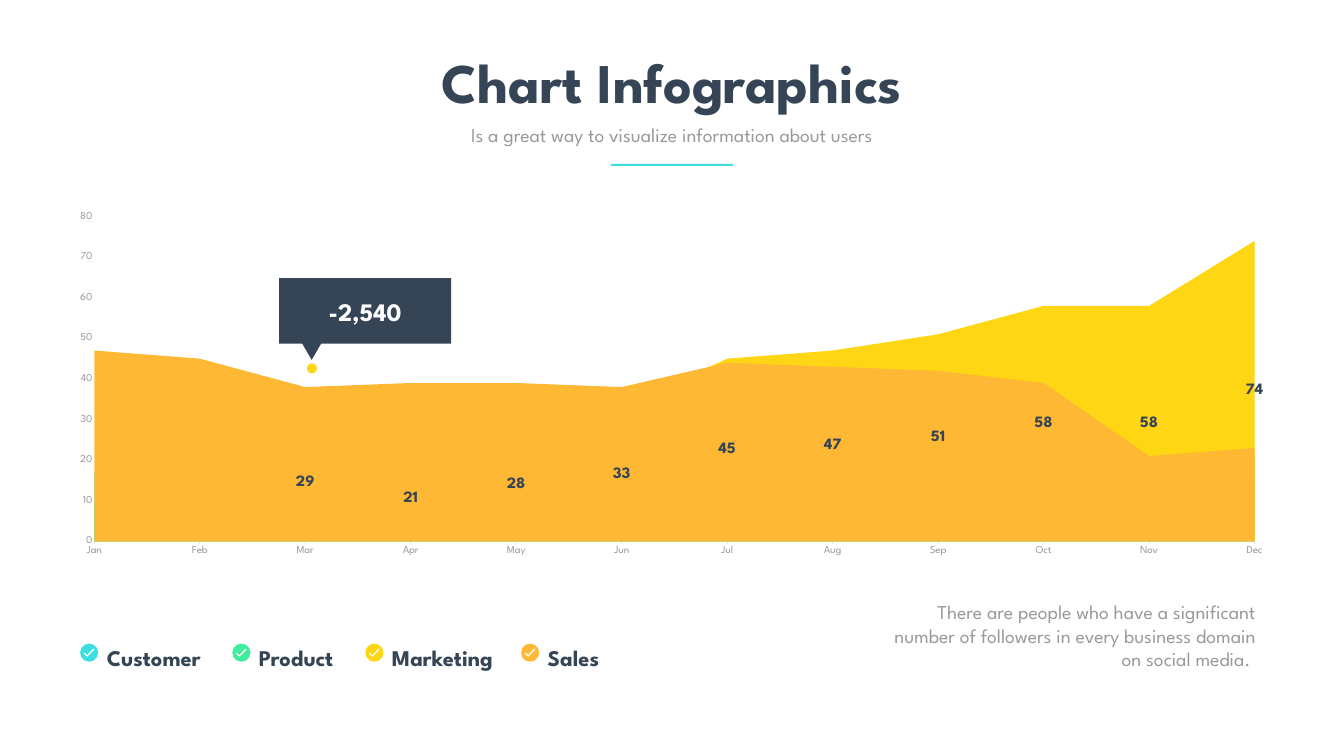
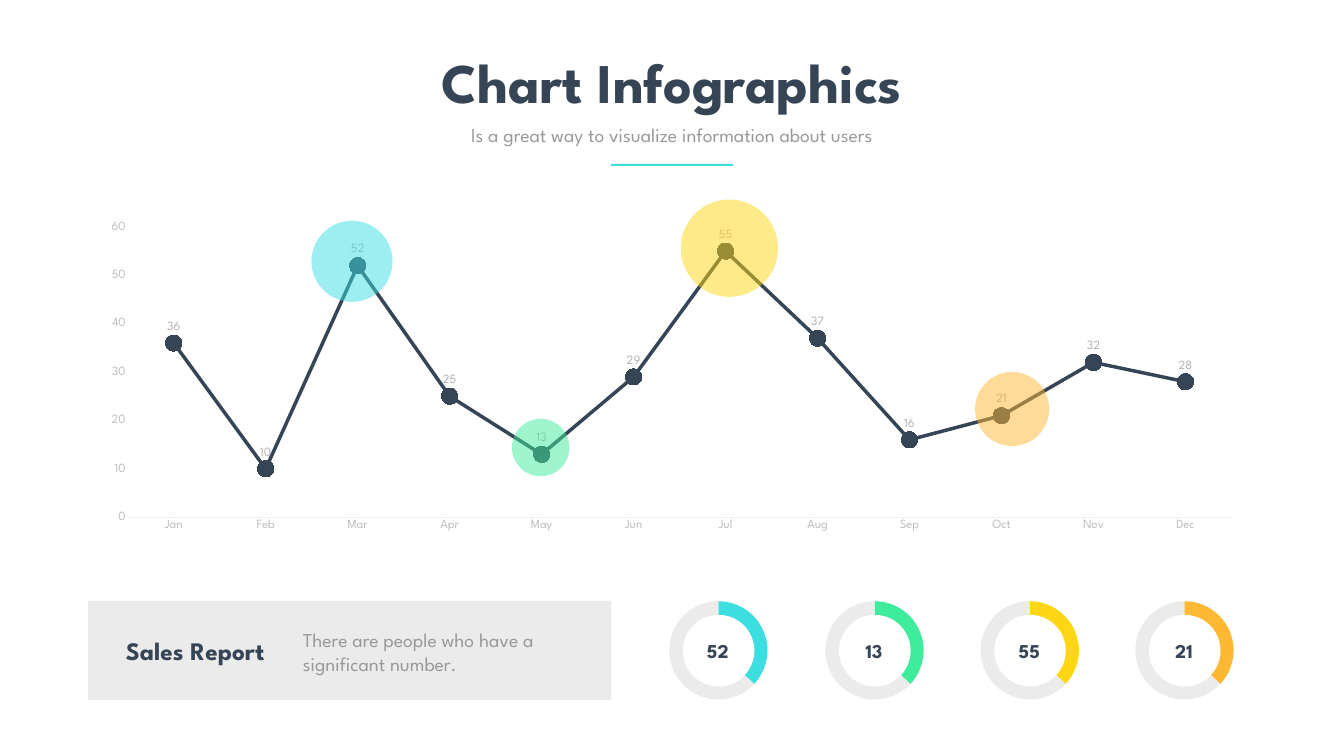
from lxml.etree import SubElement
from pptx import Presentation
from pptx.chart.data import CategoryChartData
from pptx.dml.color import RGBColor
from pptx.enum.chart import XL_CHART_TYPE, XL_LABEL_POSITION, XL_MARKER_STYLE, XL_TICK_MARK
from pptx.enum.shapes import MSO_SHAPE
from pptx.enum.text import MSO_ANCHOR, MSO_AUTO_SIZE, PP_ALIGN
from pptx.oxml import parse_xml
from pptx.oxml.ns import nsdecls, qn
from pptx.util import Pt

# Shared look: 100 px to the inch
EMU_PER_PX = 9144
SLIDE_SIZE = (2667, 1500)
FONT = "League Spartan"
NAVY, GREY, WHITE = "364556", "999999", "FFFFFF"
CYAN, GREEN, YELLOW, ORANGE = "3CDEE2", "3EEC9C", "FED613", "FEB833"
PANEL, AXIS_TEXT, LABEL_TEXT = "EBEBEB", "BDBDBD", "B2B2B2"
HEADING = {"name": FONT, "size": Pt(80), "bold": True, "colour": NAVY}
BODY = {"name": FONT, "size": Pt(28), "bold": False, "colour": GREY}
LEGEND_NAME = {**HEADING, "size": Pt(32)}
REPORT_NAME = {**HEADING, "size": Pt(36)}
CALLOUT_VALUE = {**REPORT_NAME, "colour": WHITE}
DONUT_VALUE = {**HEADING, "size": Pt(28)}
CHART_TEXT = {**BODY, "size": Pt(18)}
AREA_AXIS = {**BODY, "size": Pt(16)}
LINE_AXIS = {**CHART_TEXT, "colour": AXIS_TEXT}
AREA_LABEL = {**HEADING, "size": Pt(24)}
LINE_LABEL = {**CHART_TEXT, "colour": LABEL_TEXT}
PIE_TEXT = {**BODY, "name": "Calibri", "size": Pt(10)}

# Content
TITLE = "Chart Infographics"
SUBTITLE = "Is a great way to visualize information about users"
MONTHS = ["Jan", "Feb", "Mar", "Apr", "May", "Jun",
          "Jul", "Aug", "Sep", "Oct", "Nov", "Dec"]
AREA_SERIES = [
    ("Series 1", [47, 45, 38, 39, 39, 38, 44, 43, 42, 39, 21, 23], ORANGE),
    ("Series 2", [0, 12, 29, 21, 28, 33, 45, 47, 51, 58, 58, 74], YELLOW),
    ("Series 3", [17, 15, 22, 18, 13, 21, 28, 22, 30, 21, 12, 21], GREEN),
    ("Series 4", [10, 4, 7, 12, 9, 18, 14, 18, 20, 25, 17, 15], CYAN),
]
LABELLED_SERIES, UNLABELLED_POINTS = 1, (0, 1)
LEGEND = [  # name, colour, badge left, text width
    ("Customer", CYAN, 159, 235),
    ("Product", GREEN, 461, 235),
    ("Marketing", YELLOW, 725, 248),
    ("Sales", ORANGE, 1034, 170),
]
CHECK_MARK = [(14, 23), (9, 18), (7, 20), (14, 26), (28, 12), (26, 10)]
AUDIENCE = ("There are people who have a significant number of followers "
            "in every business domain on social media. ")
CALLOUT = "-2,540"

LINE_SERIES = [("Series 1", [36, 10, 52, 25, 13, 29, 55, 37, 16, 21, 32, 28], NAVY)]
HIGHLIGHTS = [  # left, top, diameter, colour
    (618, 438, 161, CYAN),
    (1016, 831, 114, GREEN),
    (1351, 396, 193, YELLOW),
    (1935, 738, 147, ORANGE),
]
REPORT = "Sales Report"
REPORT_NOTE = "There are people who have a significant number."
DONUTS = [("52", CYAN, 1327), ("13", GREEN, 1637),
          ("55", YELLOW, 1945), ("21", ORANGE, 2252)]
DONUT_SHARES = [("Series 1", [37, 63], PANEL)]
DONUT_SIZE, DONUT_HOLE = 197, 142


def px(*lengths):
    return [length * EMU_PER_PX for length in lengths]


def colour(hex_value):
    return RGBColor.from_string(hex_value)


def paint(fill, hex_value):
    fill.solid()
    fill.fore_color.rgb = colour(hex_value)


def format_font(font, style):
    for attribute, value in style.items():
        if attribute == "colour":
            font.color.rgb = colour(value)
        else:
            setattr(font, attribute, value)


def fill_text(shape, text, style, alignment=PP_ALIGN.LEFT, margin=None):
    frame = shape.text_frame
    settings = {"word_wrap": True, "vertical_anchor": MSO_ANCHOR.TOP,
                "auto_size": MSO_AUTO_SIZE.SHAPE_TO_FIT_TEXT}
    if margin is not None:
        for side in ("left", "right", "top", "bottom"):
            settings["margin_" + side] = margin * EMU_PER_PX
    for attribute, value in settings.items():
        setattr(frame, attribute, value)
    paragraph = frame.paragraphs[0]
    paragraph.alignment = alignment
    paragraph.space_before = Pt(0)
    run = paragraph.add_run()
    run.text = text
    format_font(run.font, style)


def add_text(slide, box, text, style, alignment=PP_ALIGN.LEFT, margin=None):
    shape = slide.shapes.add_textbox(*px(*box))
    fill_text(shape, text, style, alignment, margin)


def finish_shape(shape, hex_value, opacity=100):
    shape.shadow.inherit = False
    paint(shape.fill, hex_value)
    shape.line.fill.background()
    if opacity < 100:
        colour_element = shape.fill._xPr.find(qn("a:solidFill"))[0]
        SubElement(colour_element, qn("a:alpha"), val=str(opacity * 1000))
    return shape


def add_block(slide, kind, box, hex_value, opacity=100):
    return finish_shape(slide.shapes.add_shape(kind, *px(*box)), hex_value, opacity)


def start_slide(presentation):
    slide = presentation.slides.add_slide(presentation.slide_layouts[0])
    title, subtitle = slide.placeholders
    for shape, box, text, style in (
        (title, (688, 90, 1291, 145), TITLE, HEADING),
        (subtitle, (855, 238, 956, 57), SUBTITLE, BODY),
    ):
        shape.left, shape.top, shape.width, shape.height = px(*box)
        fill_text(shape, text, style, PP_ALIGN.CENTER)
    add_block(slide, MSO_SHAPE.RECTANGLE, (1212, 325, 243, 4), CYAN)
    return slide


def add_plain_chart(slide, kind, box, categories, series_list, style):
    data = CategoryChartData()
    data.categories = categories
    for name, values, _ in series_list:
        data.add_series(name, values)
    chart = slide.shapes.add_chart(kind, *px(*box), data).chart
    chart.has_title = False
    chart.has_legend = False
    chart.plots[0].vary_by_categories = False
    format_font(chart.font, style)
    return chart


def set_plot_layout(chart, left, top, width, height):
    plot_area = chart._chartSpace.chart.plotArea
    layout = plot_area.find(qn("c:layout"))
    if layout is not None:
        plot_area.remove(layout)
    values = {"layoutTarget": "inner", "xMode": "edge", "yMode": "edge",
              "x": left, "y": top, "w": width, "h": height}
    parts = "".join(f'<c:{tag} val="{value}"/>' for tag, value in values.items())
    plot_area.insert(0, parse_xml(
        f'<c:layout {nsdecls("c")}><c:manualLayout>{parts}</c:manualLayout></c:layout>'))


def format_axes(chart, style, maximum, line_colour, category_tick):
    axes = ((chart.category_axis, category_tick), (chart.value_axis, XL_TICK_MARK.NONE))
    for axis, tick in axes:
        axis.has_major_gridlines = False
        axis.major_tick_mark = tick
        axis.minor_tick_mark = XL_TICK_MARK.NONE
        format_font(axis.tick_labels.font, style)
    category_line = chart.category_axis.format.line
    category_line.color.rgb = colour(line_colour)
    category_line.width = Pt(0.75)
    value_axis = chart.value_axis
    value_axis.format.line.fill.background()
    value_axis.minimum_scale, value_axis.maximum_scale = 0, maximum
    value_axis.major_unit = 10


def show_labels(series, style):
    labels = series.data_labels
    labels.show_value = True
    format_font(labels.font, style)
    return labels


def build_area_slide(presentation):
    slide = start_slide(presentation)

    # Area chart
    chart = add_plain_chart(slide, XL_CHART_TYPE.AREA, (159, 420, 2348, 683),
                            MONTHS, AREA_SERIES, CHART_TEXT)
    set_plot_layout(chart, 0, 0, 1, 1)
    format_axes(chart, AREA_AXIS, 80, "DDE3EA", XL_TICK_MARK.OUTSIDE)
    chart.value_axis._element.find(qn("c:crossBetween")).set("val", "midCat")
    for series, (_, _, hex_value) in zip(chart.plots[0].series, AREA_SERIES):
        paint(series.format.fill, hex_value)
    labels = show_labels(chart.plots[0].series[LABELLED_SERIES], AREA_LABEL)
    for position, point in enumerate(UNLABELLED_POINTS):
        labels._element.insert(position, parse_xml(
            f'<c:dLbl {nsdecls("c")}><c:idx val="{point}"/><c:delete val="1"/></c:dLbl>'))

    # Legend with check badges
    badge_top, badge_size = 1277, 36
    for name, hex_value, left, width in LEGEND:
        add_block(slide, MSO_SHAPE.OVAL, (left, badge_top, badge_size, badge_size), hex_value)
        corners = [(left + x, badge_top + y) for x, y in CHECK_MARK]
        builder = slide.shapes.build_freeform(*corners[0], scale=EMU_PER_PX)
        builder.add_line_segments(corners[1:], close=True)
        finish_shape(builder.convert_to_shape(), WHITE)
        add_text(slide, (left + 43, 1273, width, 64), name, LEGEND_NAME)
    add_text(slide, (1745, 1186, 756, 151), AUDIENCE, BODY, PP_ALIGN.RIGHT)

    # Callout
    add_block(slide, MSO_SHAPE.RECTANGLE, (554, 552, 341, 130), NAVY)
    pointer = add_block(slide, MSO_SHAPE.ISOSCELES_TRIANGLE, (590, 665, 57, 49), NAVY)
    pointer.rotation = 180
    add_block(slide, MSO_SHAPE.OVAL, (609, 721, 20, 20), YELLOW)
    add_text(slide, (591, 582, 267, 71), CALLOUT, CALLOUT_VALUE, PP_ALIGN.CENTER)


def build_line_slide(presentation):
    slide = start_slide(presentation)

    # Line chart with highlighted months
    chart = add_plain_chart(slide, XL_CHART_TYPE.LINE_MARKERS, (175, 426, 2315, 640),
                            MONTHS, LINE_SERIES, CHART_TEXT)
    format_axes(chart, LINE_AXIS, 60, "F0F0F0", XL_TICK_MARK.NONE)
    series = chart.plots[0].series[0]
    series.smooth = False
    series.format.line.color.rgb = colour(NAVY)
    series.format.line.width = Pt(5)
    series.marker.style = XL_MARKER_STYLE.CIRCLE
    series.marker.size = 23
    paint(series.marker.format.fill, NAVY)
    series.marker.format.line.fill.background()
    show_labels(series, LINE_LABEL).position = XL_LABEL_POSITION.ABOVE
    for left, top, diameter, hex_value in HIGHLIGHTS:
        add_block(slide, MSO_SHAPE.OVAL, (left, top, diameter, diameter), hex_value, 50)

    # Report panel
    add_block(slide, MSO_SHAPE.RECTANGLE, (175, 1192, 1038, 197), PANEL)
    add_text(slide, (240, 1255, 339, 71), REPORT, REPORT_NAME)
    add_text(slide, (591, 1241, 565, 104), REPORT_NOTE, BODY)

    # Donuts: a pie, a white hole and its value
    top, rim = 1192, (DONUT_SIZE - DONUT_HOLE) // 2 + 1
    for value, hex_value, left in DONUTS:
        pie = add_plain_chart(slide, XL_CHART_TYPE.PIE, (left, top, DONUT_SIZE, DONUT_SIZE),
                              ["1", "2"], DONUT_SHARES, PIE_TEXT)
        set_plot_layout(pie, 0.005, 0.005, 0.99, 0.99)
        for index, slice_colour in enumerate((hex_value, PANEL)):
            point_format = pie.plots[0].series[0].points[index].format
            paint(point_format.fill, slice_colour)
            point_format.line.fill.background()
        add_block(slide, MSO_SHAPE.OVAL,
                  (left + rim, top + rim, DONUT_HOLE, DONUT_HOLE), WHITE)
        add_text(slide, (left - 1, 1262, DONUT_SIZE, 58), value, DONUT_VALUE,
                 PP_ALIGN.CENTER, margin=6)


def main():
    presentation = Presentation()
    presentation.slide_width, presentation.slide_height = px(*SLIDE_SIZE)
    build_area_slide(presentation)
    build_line_slide(presentation)
    presentation.save("out.pptx")


if __name__ == "__main__":
    main()
